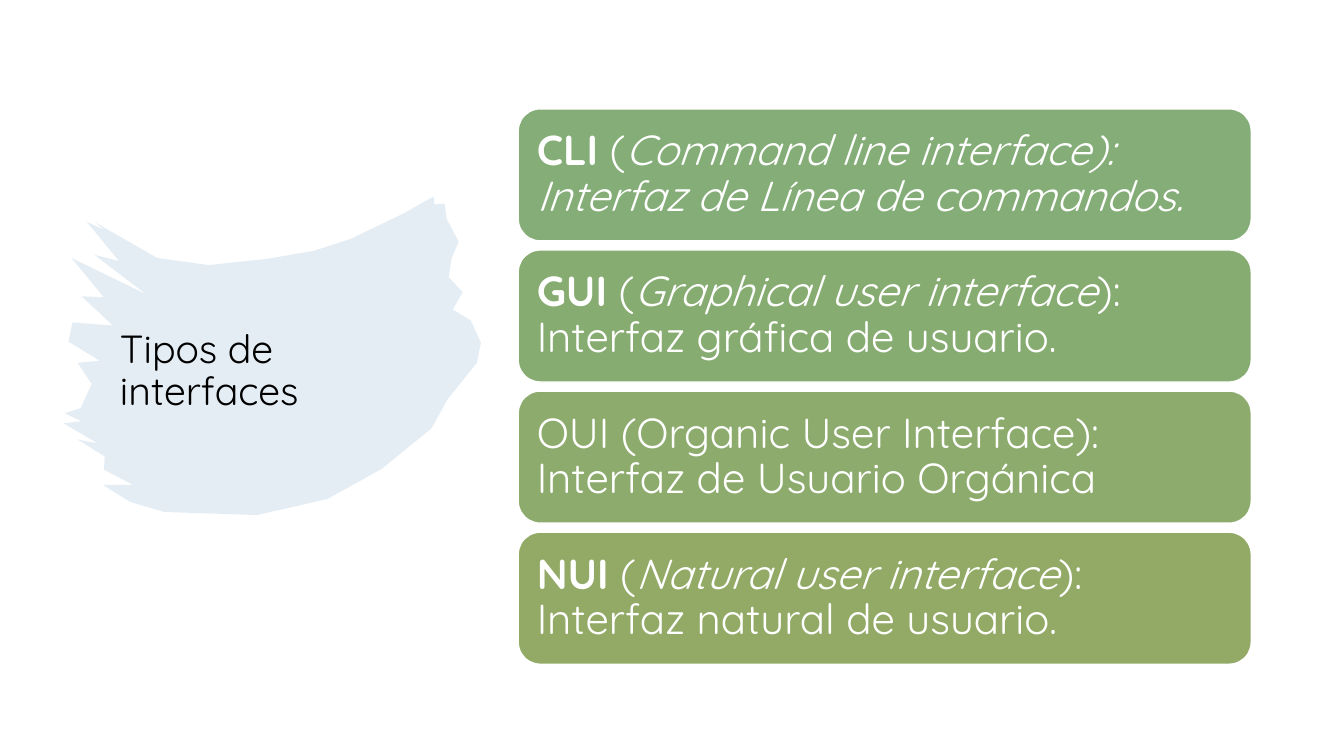
from pptx import Presentation
from pptx.dml.color import RGBColor as RGB
from pptx.enum.shapes import MSO_SHAPE as SHAPE
from pptx.enum.text import MSO_ANCHOR as ANCHOR, MSO_AUTO_SIZE as AUTO, PP_ALIGN as ALIGN
from pptx.util import Pt

PX = 9144
FONT = "Quicksand"
COLORS = {
    "brush": "E5EDF4",
    "black": "000000",
    "white": "FFFFFF",
    "CLI": "84AD77",
    "GUI": "87AC71",
    "OUI": "8CAB6C",
    "NUI": "92AA66",
}
CARDS = [
    ("CLI", [("CLI", True, False), (" (", False, False),
             ("Command line interface): Interfaz de Línea de commandos.", False, True)]),
    ("GUI", [("GUI", True, False), (" (", False, False),
             ("Graphical user interface", False, True),
             ("): Interfaz gráfica de usuario.", False, False)]),
    ("OUI", [("OUI (Organic User Interface): Interfaz de Usuario Orgánica", False, False)]),
    ("NUI", [("NUI", True, False), (" (", False, False),
             ("Natural user interface", False, True),
             ("): Interfaz natural de usuario.", False, False)]),
]
BRUSH = [
    (430, 195), (431, 203), (441, 202), (443, 217), (455, 240), (448, 256),
    (445, 275), (459, 290), (449, 307), (467, 318), (477, 340), (473, 360),
    (444, 396), (428, 425), (379, 465), (325, 495), (255, 511), (163, 508),
    (129, 498), (102, 481), (132, 481), (103, 466), (104, 453), (77, 436),
    (97, 440), (63, 420), (81, 418), (64, 410), (80, 405), (91, 381),
    (77, 360), (99, 358), (68, 339), (72, 320), (112, 323), (81, 294),
    (103, 295), (71, 256), (145, 292), (94, 253), (118, 259), (86, 220),
    (103, 228), (95, 221), (156, 256), (207, 263), (264, 257), (311, 249),
    (348, 237), (400, 212),
]


def px(*lengths):
    return [n * PX for n in lengths]


def style(p, color, size):
    p.alignment = ALIGN.LEFT
    p.line_spacing = 0.9
    for r in p.runs:
        r.font.name = FONT
        r.font.size = Pt(size)
        r.font.color.rgb = RGB.from_string(COLORS[color])


prs = Presentation()
prs.slide_width, prs.slide_height = px(1333, 750)
s = prs.slides.add_slide(prs.slide_layouts[5])

builder = s.shapes.build_freeform(*BRUSH[0], scale=PX)
builder.add_line_segments(BRUSH[1:], close=True)
brush = builder.convert_to_shape()
brush.shadow.inherit = False
brush.fill.solid()
brush.fill.fore_color.rgb = RGB.from_string(COLORS["brush"])
brush.line.fill.background()

title = s.shapes.title
title.left, title.top, title.width, title.height = px(109, 287, 329, 164)
tf = title.text_frame
tf.text = "Tipos de interfaces"
tf.word_wrap = True
tf.auto_size = AUTO.NONE
tf.vertical_anchor = ANCHOR.MIDDLE
style(tf.paragraphs[0], "black", 28)
s.shapes._spTree.append(title._element)

for i, (name, runs) in enumerate(CARDS):
    card = s.shapes.add_shape(SHAPE.ROUNDED_RECTANGLE, *px(514, 108 + 140 * i, 727, 131))
    card.shadow.inherit = False
    card.fill.solid()
    card.fill.fore_color.rgb = RGB.from_string(COLORS[name])
    card.line.color.rgb = RGB.from_string(COLORS["white"])
    card.line.width = Pt(1)
    tf = card.text_frame
    tf.word_wrap = True
    tf.vertical_anchor = ANCHOR.MIDDLE
    tf.margin_left, tf.margin_top, tf.margin_right, tf.margin_bottom = px(12, 12, 12, 12)
    p = tf.paragraphs[0]
    for text, bold, italic in runs:
        r = p.add_run()
        r.text = text
        r.font.bold = bold
        r.font.italic = italic
    style(p, "white", 30)

prs.save("out.pptx")
